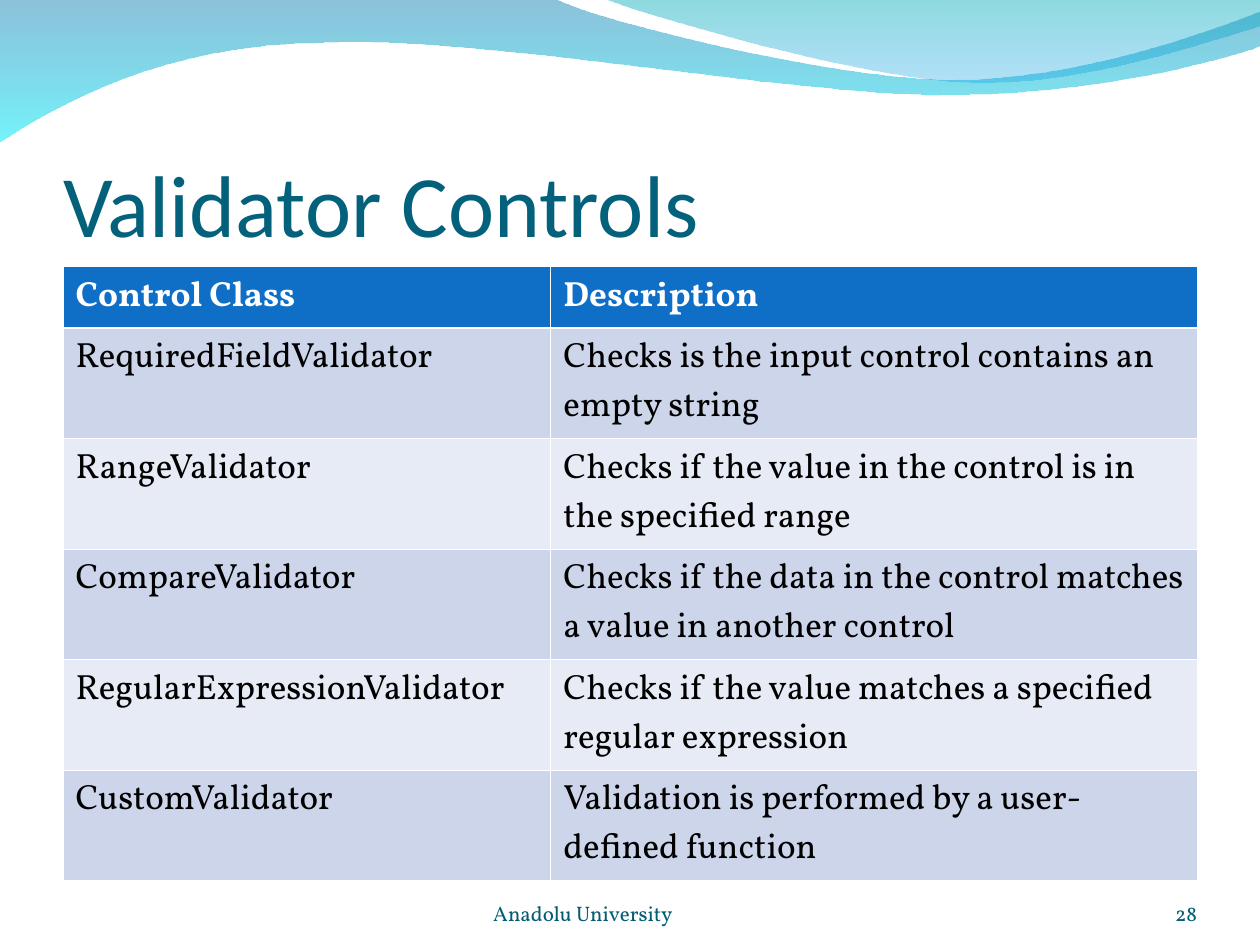
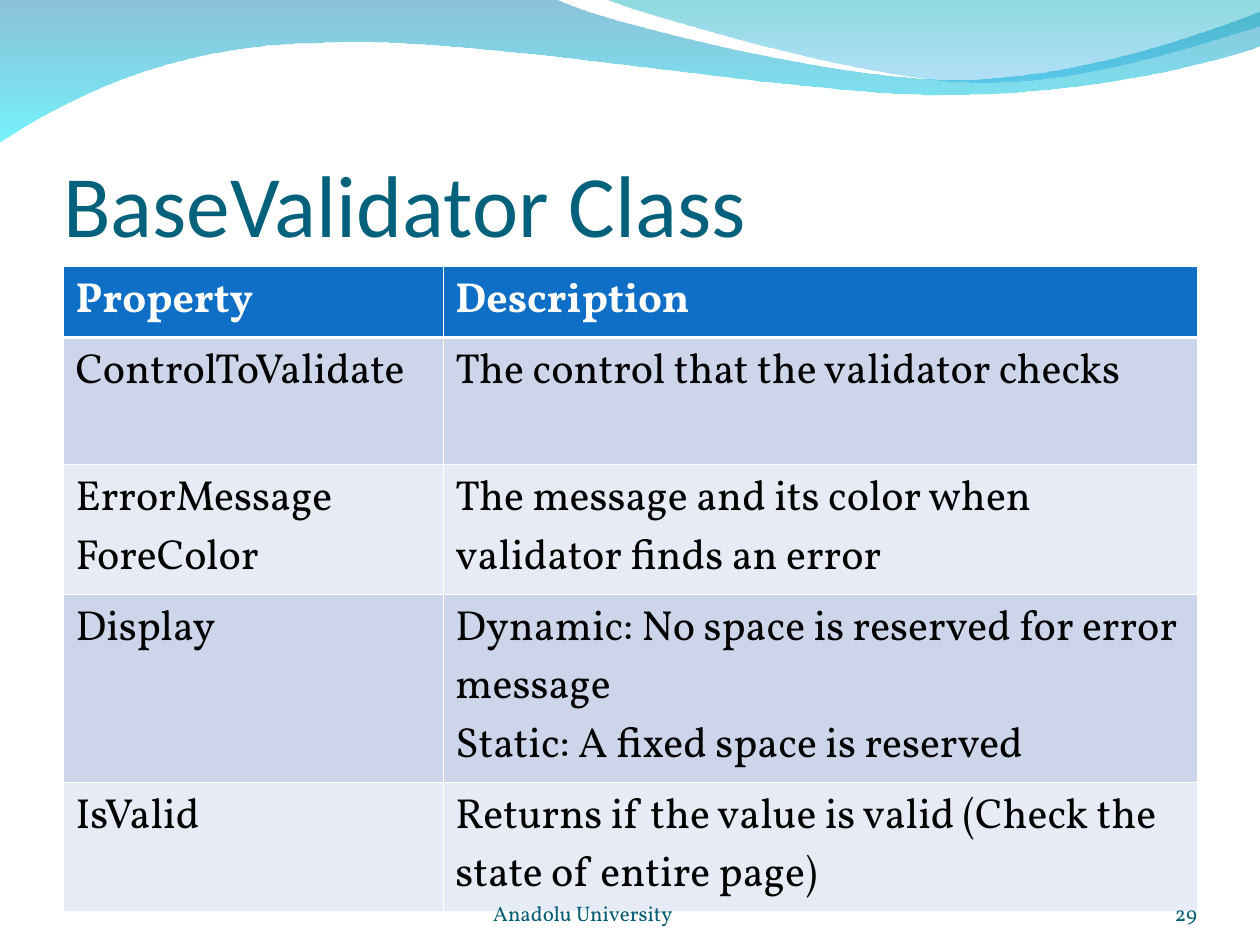
from lxml.etree import SubElement
from pptx import Presentation
from pptx.dml.color import RGBColor
from pptx.enum.text import MSO_ANCHOR as Anchor, MSO_AUTO_SIZE as AutoSize, PP_ALIGN as Align
from pptx.oxml import parse_xml
from pptx.oxml.ns import nsdecls, qn
from pptx.util import Emu, Pt

COLUMNS, ROWS = 100, 75
UNIT = 91440
BODY_FONT = "Vollkorn"
WHITE, BLACK = "FFFFFF", "000000"
HEADER_FILL = "0F6FC6"
BAND_FILLS = ["CCD5EA", "E7EBF5"]
THIN, THICK = 0.45, 1.47

TITLE_FORMAT = {"name": "Calibri", "size": Pt(50), "color": "04617B"}
FOOTER_FORMAT = {"name": BODY_FONT, "size": Pt(12), "color": "045C75"}

BACK_WAVE = {
    "start": (0, -0.1),
    "segments": [
        [(44, -0.1)],
        [(47.6, 1.7), (66.4, 6.3), (75.8, 6.3)],
        [(85.3, 6.3), (95.8, 2.6), (100, 0.9)],
        [(100.1, 3.6)],
        [(98.3, 4.4), (87, 7.6), (74.6, 7.5)],
        [(62.2, 7.5), (38.2, 2.8), (25.7, 3.4)],
        [(12.9, 3.5), (4.6, 8.3), (-0.1, 11.3)],
    ],
    "stops": [("0079AF", 45), ("00EBF8", 55)],
}
FRONT_WAVE = {
    "start": (47.9, -0.1),
    "segments": [
        [(50.9, 1.1), (68.2, 6.2), (76.9, 6.5)],
        [(85.6, 6.9), (96.1, 3.2), (100, 2.1)],
        [(100, 0)],
    ],
    "stops": [("00ADB6", 45), ("009BE5", 30)],
}

VALIDATOR_CONTROLS = [
    ("Control Class", "Description"),
    ("RequiredFieldValidator", "Checks is the input control contains an empty string"),
    ("RangeValidator", "Checks if the value in the control is in the specified range"),
    ("CompareValidator", "Checks if the data in the control matches a value in another control"),
    ("RegularExpressionValidator", "Checks if the value matches a specified regular expression"),
    ("CustomValidator", "Validation is performed by a user-defined function"),
]
BASE_VALIDATOR = [
    ("Property", "Description"),
    ("ControlToValidate", "The control that the validator checks"),
    ("ErrorMessage\nForeColor", "The message and its color when validator finds an error"),
    ("Display", "Dynamic: No space is reserved for error message\nStatic: A fixed space is reserved"),
    ("IsValid", "Returns if the value is valid (Check the state of entire page)"),
]


def rgb(hex_color):
    return RGBColor.from_string(hex_color)


def grid(*lengths):
    return [Emu(round(length * UNIT)) for length in lengths]


def bend_lines(shape, segments):
    lines = list(shape.element.iter(qn("a:lnTo")))
    for line, (*controls, _) in zip(lines, segments):
        if controls:
            line.tag = qn("a:cubicBezTo")
        for position, control in enumerate(controls):
            x, y = grid(*control)
            line.insert(position, parse_xml(
                f'<a:pt {nsdecls("a")} x="{x - shape.left}" y="{y - shape.top}"/>'
            ))


class Deck:
    def __init__(self):
        self.presentation = Presentation()
        self.presentation.slide_width, self.presentation.slide_height = grid(COLUMNS, ROWS)
        self.layout = self.presentation.slide_layouts[5]
        self.slide = None

    def new_slide(self):
        self.slide = self.presentation.slides.add_slide(self.layout)

    def format_text(self, frame, text, style, align=Align.LEFT, tab=None):
        frame.text = text
        for paragraph in frame.paragraphs:
            paragraph.alignment = align
            if tab:
                properties = paragraph._p.get_or_add_pPr()
                tabs = SubElement(properties, qn("a:tabLst"))
                SubElement(tabs, qn("a:tab"), pos=str(grid(tab)[0]), algn="l")
            for run in paragraph.runs:
                for name, value in style.items():
                    if name == "color":
                        run.font.color.rgb = rgb(value)
                    else:
                        setattr(run.font, name, value)

    def format_frame(self, frame, top_margin=0):
        settings = {
            "word_wrap": True,
            "auto_size": AutoSize.NONE,
            "vertical_anchor": Anchor.BOTTOM,
            "margin_left": 0,
            "margin_top": grid(top_margin)[0],
            "margin_right": 0,
            "margin_bottom": 0,
        }
        for name, value in settings.items():
            setattr(frame, name, value)

    def layout_wave(self, start, segments, stops):
        builder = self.slide.shapes.build_freeform(*grid(*start))
        builder.add_line_segments([grid(*segment[-1]) for segment in segments], close=True)
        wave = builder.convert_to_shape()
        bend_lines(wave, segments)
        wave.shadow.inherit = False
        wave.line.fill.background()
        wave.fill.gradient()
        wave.fill.gradient_angle = 270
        for stop, (color, _) in zip(wave.fill.gradient_stops, stops):
            stop.color.rgb = rgb(color)
        for element, (_, opacity) in zip(wave.element.iter(qn("a:srgbClr")), stops):
            SubElement(element, qn("a:alpha"), val=str(opacity * 1000))
        self.layout.placeholders[0].element.addprevious(wave.element)

    def title(self, text):
        title = self.slide.shapes.title
        title.left, title.top, title.width, title.height = grid(5, 7.75, 90, 12.5)
        self.format_frame(title.text_frame, top_margin=0.5)
        self.format_text(title.text_frame, text, TITLE_FORMAT)

    def footer(self, text, left, width, **options):
        box = self.slide.shapes.add_textbox(*grid(left, 69.5, width, 4))
        self.format_frame(box.text_frame)
        self.format_text(box.text_frame, text, FOOTER_FORMAT, **options)

    def cell_borders(self, cell, top, bottom):
        properties = cell._tc.get_or_add_tcPr()
        for side, width in {"L": THIN, "R": THIN, "T": top, "B": bottom}.items():
            properties.append(parse_xml(
                f'<a:ln{side} {nsdecls("a")} w="{Pt(width)}"><a:solidFill>'
                f'<a:srgbClr val="{WHITE}"/></a:solidFill></a:ln{side}>'
            ))

    def table(self, records, widths, heights, size):
        frame = self.slide.shapes.add_table(
            len(records), len(widths), *grid(5, 21.15, sum(widths), sum(heights))
        )
        table = frame.table
        for column, width in zip(table.columns, grid(*widths)):
            column.width = width
        for row, height in zip(table.rows, grid(*heights)):
            row.height = height
        for row_index, record in enumerate(records):
            header = row_index == 0
            style = {
                "name": BODY_FONT,
                "size": Pt(size),
                "bold": header,
                "color": WHITE if header else BLACK,
            }
            fill = HEADER_FILL if header else BAND_FILLS[(row_index - 1) % 2]
            for column_index, text in enumerate(record):
                cell = table.cell(row_index, column_index)
                self.cell_borders(
                    cell,
                    top=THICK if row_index == 1 else THIN,
                    bottom=THICK if header else THIN,
                )
                cell.fill.solid()
                cell.fill.fore_color.rgb = rgb(fill)
                self.format_text(cell.text_frame, text, style)

    def content_slide(self, number, title, **table):
        self.new_slide()
        self.title(title)
        self.table(**table)
        self.footer(str(number), 86.7, 8.3, align=Align.RIGHT)
        self.footer("\tAnadolu University", 29.15, 36.7, tab=10)


def main():
    deck = Deck()
    deck.content_slide(
        28, "Validator Controls",
        records=VALIDATOR_CONTROLS, widths=[38.72, 51.28], heights=[4.8] + [8.6] * 5, size=20,
    )
    for wave in (BACK_WAVE, FRONT_WAVE):
        deck.layout_wave(**wave)
    deck.content_slide(
        29, "BaseValidator Class",
        records=BASE_VALIDATOR, widths=[30.15, 59.85], heights=[5.6, 10.1, 10.1, 14.7, 10.1], size=24,
    )
    deck.presentation.save("out.pptx")


if __name__ == "__main__":
    main()
